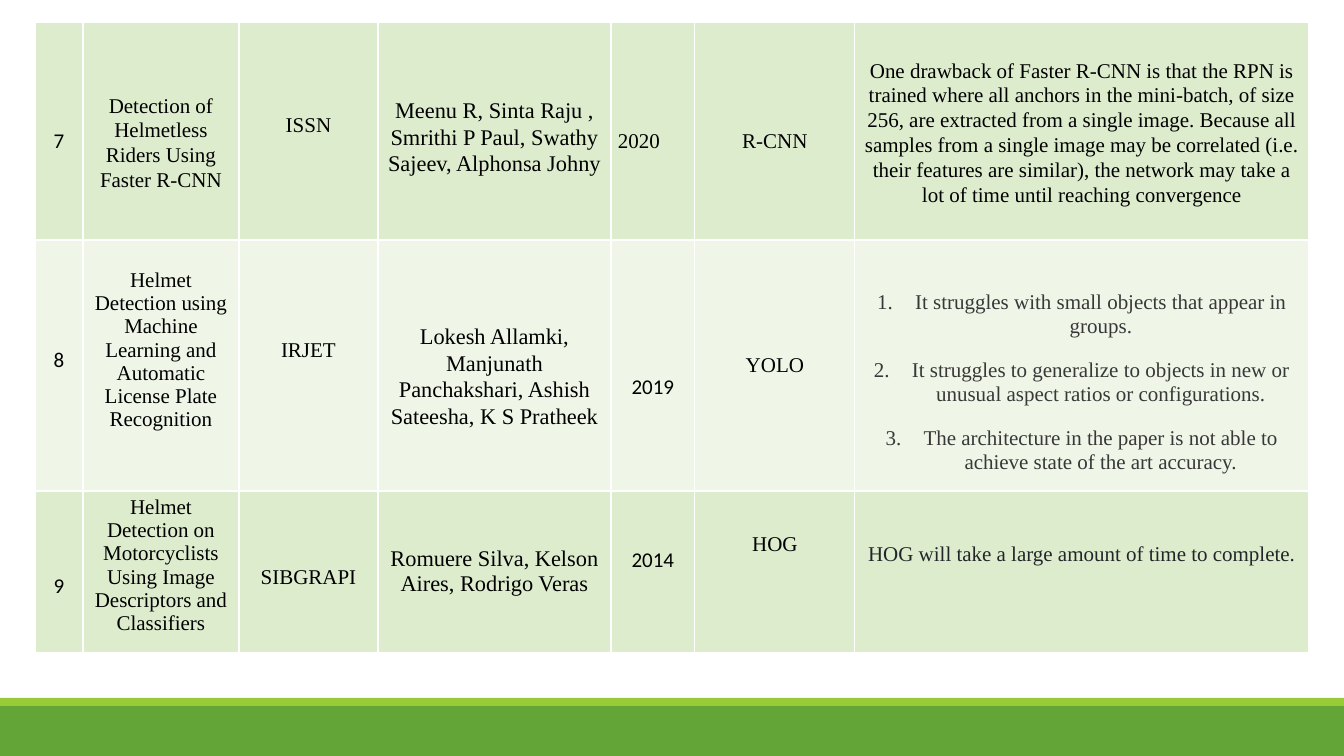
from lxml import etree
from pptx import Presentation
from pptx import util as u
from pptx.dml import color
from pptx.enum import shapes, text
from pptx.oxml import ns

PX = 914400 / 100.8
SERIF = "Times New Roman"
SANS = "Calibri"
BANDS = ("DEECCE", "EFF6E8", "DEECCE")
COLUMN_WIDTHS = (48, 156, 139, 233, 84, 160, 454)
ROW_HEIGHTS = (218, 251, 162)
LOOSE = {"spacing": 1.07, "after": 8}
AUTHORS = {"size": 16, **LOOSE}

PAPERS = [
    [
        ("7", 107, {"font": SANS}),
        ("Detection of Helmetless Riders Using Faster R-CNN", 71, LOOSE),
        ("ISSN", 92, {}),
        ("Meenu R, Sinta Raju , Smrithi P Paul, Swathy Sajeev, Alphonsa Johny", 75, AUTHORS),
        ("2020", 108, {"align": text.PP_ALIGN.LEFT}),
        ("R-CNN", 108, {}),
        ("One drawback of Faster R-CNN is that the RPN is trained where all anchors "
         "in the mini-batch, of size 256, are extracted from a single image. Because all "
         "samples from a single image may be correlated (i.e. their features are similar), "
         "the network may take a lot of time until reaching convergence", 36, LOOSE),
    ],
    [
        ("8", 108, {"font": SANS}),
        ("Helmet Detection using Machine Learning and Automatic License Plate Recognition", 29, {}),
        ("IRJET", 99, {}),
        ("Lokesh Allamki, Manjunath Panchakshari, Ashish Sateesha, K S Pratheek", 83, AUTHORS),
        ("2019", 135, {"font": SANS}),
        ("YOLO", 114, {}),
        ("It struggles with small objects that appear in groups.\n"
         "It struggles to generalize to objects in new or unusual aspect ratios or configurations.\n"
         "The architecture in the paper is not able to achieve state of the art accuracy.",
         49, {"color_hex": "383838", "before": 5.2, "numbered": True, **LOOSE}),
    ],
    [
        ("9", 83, {"font": SANS}),
        ("Helmet Detection on Motorcyclists Using Image\nDescriptors and Classifiers", 5, {}),
        ("SIBGRAPI", 75, {}),
        ("Romuere Silva, Kelson Aires, Rodrigo Veras", 56, {"size": 16}),
        ("2014", 57, {"font": SANS}),
        ("HOG", 42, {}),
        ("HOG will take a large amount of time to complete.", 52, {"color_hex": "232629"}),
    ],
]


def px(length):
    return u.Emu(round(length * PX))


def paint(target, hex_code):
    if hasattr(target, "solid"):
        target.solid()
        target = target.fore_color
    target.rgb = color.RGBColor.from_string(hex_code)


def number(paragraph):
    properties = paragraph._p.get_or_add_pPr()
    properties.set("marL", str(px(38)))
    properties.set("indent", str(-px(38)))
    etree.SubElement(properties, ns.qn("a:buFont"), typeface="+mj-lt")
    etree.SubElement(properties, ns.qn("a:buAutoNum"), type="arabicPeriod")


def write(frame, wording, size=15, font=SERIF, color_hex="000000",
          align=text.PP_ALIGN.CENTER, spacing=1, before=0, after=0, numbered=False):
    for index, line in enumerate(wording.split("\n")):
        paragraph = frame.add_paragraph() if index else frame.paragraphs[0]
        paragraph.alignment = align
        paragraph.line_spacing = spacing
        paragraph.space_before = u.Pt(before if index else 0)
        paragraph.space_after = u.Pt(after)
        if numbered:
            number(paragraph)
        run = paragraph.add_run()
        run.text = line
        run.font.size = u.Pt(size)
        run.font.name = font
        paint(run.font.color, color_hex)


def outline(cell, hex_code):
    properties = cell._tc.get_or_add_tcPr()
    for side in ("lnL", "lnR", "lnT", "lnB"):
        border = etree.SubElement(properties, ns.qn(f"a:{side}"), w=str(u.Pt(1)))
        solid = etree.SubElement(border, ns.qn("a:solidFill"))
        etree.SubElement(solid, ns.qn("a:srgbClr"), val=hex_code)


def fill_cell(cell, band, side_margin, top_margin, wording, style):
    outline(cell, "FFFFFF")
    paint(cell.fill, band)
    cell.margin_left = cell.margin_right = px(side_margin)
    cell.margin_top = px(top_margin)
    cell.margin_bottom = 0
    cell.vertical_anchor = text.MSO_ANCHOR.TOP
    write(cell.text_frame, wording, **style)


def add_papers(slide):
    survey = slide.shapes.add_table(
        len(ROW_HEIGHTS), len(COLUMN_WIDTHS), px(35), px(22),
        px(sum(COLUMN_WIDTHS)), px(sum(ROW_HEIGHTS))).table
    survey.first_row = False
    survey.horz_banding = False
    for column, width in zip(survey.columns, COLUMN_WIDTHS):
        column.width = px(width)
    for row_index, (row, height) in enumerate(zip(survey.rows, ROW_HEIGHTS)):
        row.height = px(height)
        side_margin = 10 if row_index else 7
        for cell, (wording, top_margin, style) in zip(row.cells, PAPERS[row_index]):
            fill_cell(cell, BANDS[row_index], side_margin, top_margin, wording, style)


def add_strip(slide, top, height, hex_code):
    strip = slide.shapes.add_shape(
        shapes.MSO_SHAPE.RECTANGLE, 0, px(top), px(1344), px(height))
    strip.shadow.inherit = False
    paint(strip.fill, hex_code)
    strip.line.fill.background()


def main():
    deck = Presentation()
    deck.slide_width, deck.slide_height = px(1344), px(756)
    slide = deck.slides.add_slide(deck.slide_layouts[6])
    paint(slide.background.fill, "FFFFFF")
    add_strip(slide, 706, 50, "63A537")
    add_strip(slide, 698, 8, "99CB38")
    add_papers(slide)
    deck.save("out.pptx")


if __name__ == "__main__":
    main()
